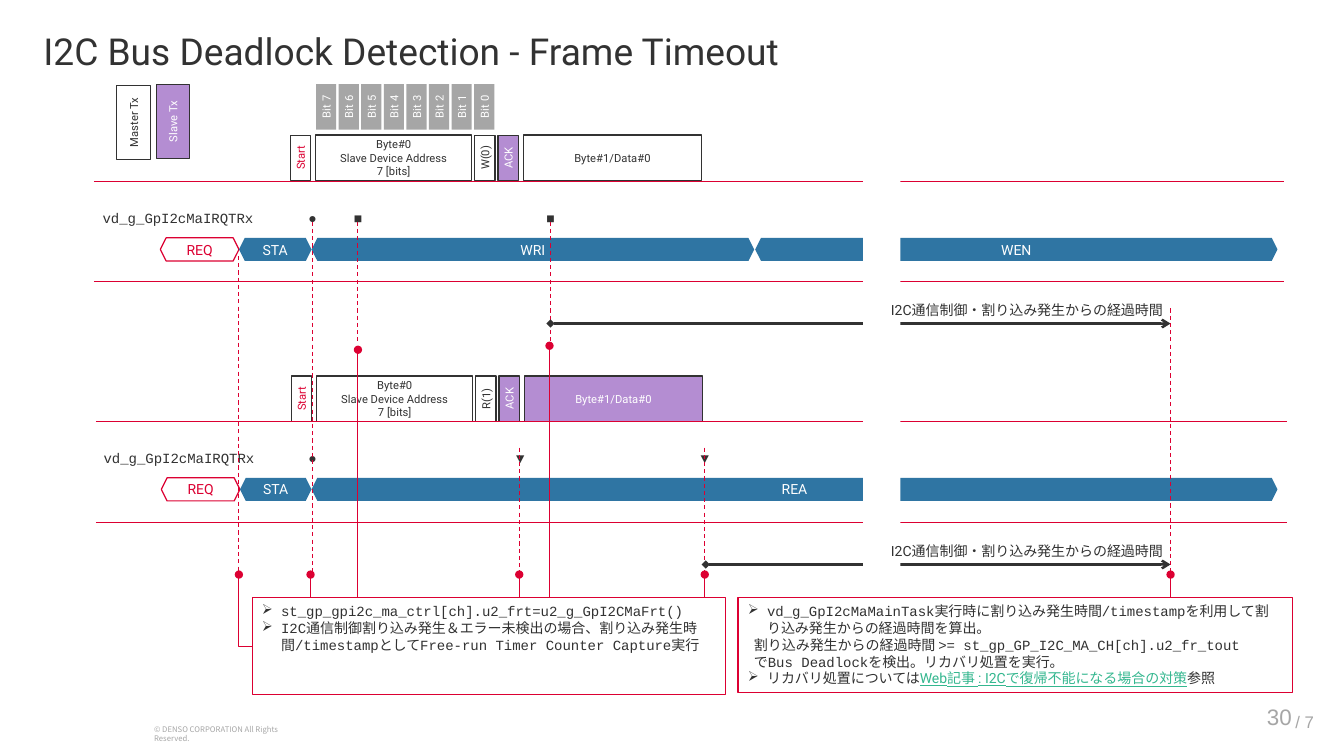
import pptx
import pptx.dml.color
import pptx.enum.dml
import pptx.enum.shapes
import pptx.enum.text
import pptx.oxml
import pptx.oxml.ns
import pptx.util

SHAPE = pptx.enum.shapes.MSO_SHAPE
CONNECTOR = pptx.enum.shapes.MSO_CONNECTOR
ALIGN = pptx.enum.text.PP_ALIGN
ANCHOR = pptx.enum.text.MSO_ANCHOR
RED, INK, WHITE = "DC0032", "323232", "FFFFFF"
BLUE, PURPLE, GREY, GREEN = "2F75A3", "B48DD2", "A6A6A6", "34B78F"
SANS, MONO, PLAIN, JAPANESE = "Roboto", "Courier New", "Arial", "Noto Sans CJK JP"
SIGNAL = "vd_g_GpI2cMaIRQTRx"
ELAPSED = "I2C通信制御・割り込み発生からの経過時間"


def cells(count):
    """Return the length of a number of grid cells, ten to the inch."""
    return pptx.util.Inches(count / 10)


def colour(code):
    """Turn a hex string into a colour."""
    return pptx.dml.color.RGBColor.from_string(code)


def add_element(parent, tag, **attributes):
    """Append a DrawingML element with its attributes."""
    element = pptx.oxml.parse_xml(f"<a:{tag} {pptx.oxml.ns.nsdecls('a')}/>")
    for name, value in attributes.items():
        element.set(name, value)
    parent.append(element)


def add_span(para, text, size, font, code, underline=False):
    """Add one styled run, with a Japanese font where it is needed."""
    span = para.add_run()
    span.text = text
    span.font.size = pptx.util.Pt(size)
    span.font.name = font
    span.font.color.rgb = colour(code)
    if underline:
        span.font.underline = True
    if ord(max(text)) > 0x3000:
        add_element(span.font._element, "ea", typeface=JAPANESE)


def paragraphs(frame, count):
    """Yield a number of paragraphs of a text frame."""
    for index in range(count):
        yield frame.add_paragraph() if index else frame.paragraphs[0]


def label(page, area, text, size, font, code, align=ALIGN.LEFT, anchor=ANCHOR.TOP):
    """Add a one-paragraph text box."""
    frame = page.shapes.add_textbox(*map(cells, area)).text_frame
    frame.word_wrap = True
    frame.vertical_anchor = anchor
    para = frame.paragraphs[0]
    para.alignment = align
    add_span(para, text, size, font, code)
    return frame


def block(page, area, text="", fill=None, line=None, code=INK, size=8,
          turned=False, kind=SHAPE.RECTANGLE, weight=0.85):
    """Add a preset shape with centred lines of text, upright or turned."""
    left, top, width, height = area
    if turned:
        left, top = left + (width - height) / 2, top + (height - width) / 2
        width, height = height, width
    box = page.shapes.add_shape(kind, *map(cells, (left, top, width, height)))
    box.shadow.inherit = False
    if turned:
        box.rotation = 270
    if fill:
        box.fill.solid()
        box.fill.fore_color.rgb = colour(fill)
    else:
        box.fill.background()
    if line:
        box.line.color.rgb = colour(line)
        box.line.width = pptx.util.Pt(weight)
    else:
        box.line.fill.background()
    if text:
        frame = box.text_frame
        frame.word_wrap = True
        frame.vertical_anchor = ANCHOR.MIDDLE
        frame.margin_left = frame.margin_right = frame.margin_top = frame.margin_bottom = 0
        lines = text.split("\n")
        for para, words in zip(paragraphs(frame, len(lines)), lines):
            para.alignment = ALIGN.CENTER
            add_span(para, words, size, SANS, code)
    return box


def wire(page, start, end, code=RED, weight=0.75, dashed=False, head=None, tail=None,
         kind=CONNECTOR.STRAIGHT):
    """Add a line with optional dashes and end marks."""
    line = page.shapes.add_connector(kind, *map(cells, start + end))
    line.line.color.rgb = colour(code)
    line.line.width = pptx.util.Pt(weight)
    if dashed:
        line.line.dash_style = pptx.enum.dml.MSO_LINE.DASH
    outline = line.line._get_or_add_ln()
    if head:
        add_element(outline, "headEnd", type=head)
    if tail:
        add_element(outline, "tailEnd", type=tail)
    add_element(line._element.spPr, "effectLst")
    return line


def bus_frame(page, left, top, direction, data_fill, data_code):
    """Draw the start, address, direction, acknowledge and data fields."""
    fields = (
        (0, 2, "Start", WHITE, RED, True),
        (2.5, 15.5, "Byte#0\nSlave Device Address\n7 [bits]", WHITE, INK, False),
        (18.3, 2, direction, WHITE, INK, True),
        (20.6, 2, "ACK", PURPLE, WHITE, True),
        (23.1, 17.7, "Byte#1/Data#0", data_fill, data_code, False),
    )
    for offset, width, text, fill, code, turned in fields:
        block(page, (left + offset, top, width, 4.5), text, fill, INK, code, turned=turned)


def state_row(page, left, top, states, marks):
    """Draw the signal name, its state hexagons and its interrupt marks."""
    label(page, (left - 6.7, top - 3.3, 17.7, 2.7), SIGNAL, 10, MONO, INK)
    block(page, (left, top, 7.8, 2.3), "REQ", WHITE, RED, RED, 10, kind=SHAPE.HEXAGON)
    for start, end, text in states:
        block(page, (start, top, end - start, 2.3), text, BLUE, None, WHITE, 10,
              kind=SHAPE.HEXAGON)
    for middle, mark in marks:
        label(page, (middle - 1.6, top - 3.3, 3.2, 2.7), mark, 10, MONO, INK, ALIGN.CENTER)


def note(page, area, entries):
    """Draw an outlined note whose entries are bulleted or plain."""
    box = block(page, area, line=RED, weight=0.75)
    frame = box.text_frame
    frame.word_wrap = True
    frame.vertical_anchor = ANCHOR.TOP
    for para, (bulleted, spans) in zip(paragraphs(frame, len(entries)), entries):
        para.alignment = ALIGN.LEFT
        properties = para._p.get_or_add_pPr()
        properties.set("marL", str(cells(1.9 if bulleted else 0.6)))
        if bulleted:
            properties.set("indent", str(-cells(1.9)))
            add_element(properties, "buChar", char="➢")
        for text, font, code, underline in spans:
            add_span(para, text, 10, font, code, underline)
    return box


def main():
    """Build the slide and save it."""
    deck = pptx.Presentation()
    deck.slide_width, deck.slide_height = cells(133.3), cells(75)
    page = deck.slides.add_slide(deck.slide_layouts[6])

    label(page, (14.3, 71.4, 17.8, 1.9), "© DENSO CORPORATION All Rights Reserved.",
          5.5, JAPANESE, GREY)
    label(page, (122, 69.3, 7.1, 3.5), "30", 16, PLAIN, GREY, ALIGN.RIGHT, ANCHOR.MIDDLE)
    label(page, (127.5, 70.2, 5, 2.8), "/ 7", 12, PLAIN, GREY, anchor=ANCHOR.MIDDLE)
    title = label(page, (0, 2.8, 118.2, 4.5), "I2C Bus Deadlock Detection - Frame Timeout",
                  26.5, SANS, INK)
    title.margin_left = cells(4.3)
    title.paragraphs[0].line_spacing = 0.9

    for place in range(8):
        block(page, (31.35 + 2.24 * place, 8.35, 2, 4.5), f"Bit {7 - place}", GREY,
              code=WHITE, turned=True)
    bus_frame(page, 28.8, 13.4, "W(0)", WHITE, INK)
    state_row(page, 15.9, 23.6,
              ((23.7, 30.9, "STA"), (30.9, 74.8, "WRI"), (74.9, 126.7, "WEN")),
              ((31, "●"), (35.5, "■"), (54.6, "■")))
    bus_frame(page, 28.9, 37.3, "R(1)", PURPLE, WHITE)
    state_row(page, 16, 47.4, ((23.8, 30.9, "STA"), (30.9, 126.7, "REA")),
              ((31, "●"), (51.6, "▼"), (69.9, "▼")))

    for left, level in ((9.3, 18), (9.3, 27.9), (9.5, 41.8), (9.5, 51.8)):
        wire(page, (left, level), (left + 118.1, level))
    for across, top, bottom in ((51.5, 44.4, 57), (23.7, 25.4, 57), (30.95, 22, 57),
                                (35.5, 22, 34), (69.9, 44.4, 57), (54.6, 22, 34)):
        wire(page, (across, top), (across, bottom), dashed=True)
    for left, level in ((54.6, 32.1), (70, 56)):
        wire(page, (left, level), (116.1, level), INK, 1.75, head="diamond", tail="arrow")
    block(page, (85.6, 14.2, 3.7, 42.9), fill=WHITE)
    wire(page, (116.1, 30.6), (116.1, 59.3), dashed=True)
    for top in (29.4, 53.3):
        label(page, (83.1, top, 33.2, 2.7), ELAPSED, 10, SANS, INK, ALIGN.RIGHT)

    capture = note(page, (25, 59.3, 47, 9.6), (
        (True, (("st_gp_gpi2c_ma_ctrl[ch].u2_frt=u2_g_GpI2CMaFrt()", MONO, INK, False),)),
        (True, (("I2C通信制御割り込み発生＆エラー未検出の場合、割り込み発生時間/timestampとして"
                 "Free-run Timer Counter Capture実行", MONO, INK, False),)),
    ))
    note(page, (73.2, 59.3, 55, 9.4), (
        (True, (("vd_g_GpI2cMaMainTask実行時に割り込み発生時間/timestampを利用して"
                 "割り込み発生からの経過時間を算出。", MONO, INK, False),)),
        (False, (("割り込み発生からの経過時間 >= st_gp_GP_I2C_MA_CH[ch].u2_fr_tout",
                  MONO, INK, False),)),
        (False, (("でBus Deadlockを検出。リカバリ処置を実行。", MONO, INK, False),)),
        (True, (("リカバリ処置については", MONO, INK, False),
                ("Web記事 : I2Cで復帰不能になる場合の対策", SANS, GREEN, True),
                ("参照", SANS, INK, False))),
    ))
    for across, top in ((30.8, 57), (35.5, 34.7), (54.5, 34.3), (51.5, 57),
                        (69.9, 57), (116.1, 57)):
        wire(page, (across, 59.3), (across, top), tail="oval")
    request = wire(page, (25, 64.1), (23.7, 57), tail="oval", kind=CONNECTOR.ELBOW)
    request._element.spPr.prstGeom.set("prst", "bentConnector2")
    request.begin_connect(capture, 1)

    block(page, (11.6, 8.5, 3.3, 7.3), "Master Tx", WHITE, INK, turned=True)
    block(page, (15.5, 8.4, 3.3, 7.3), "Slave Tx", PURPLE, INK, WHITE, turned=True)
    deck.save("out.pptx")


if __name__ == "__main__":
    main()
